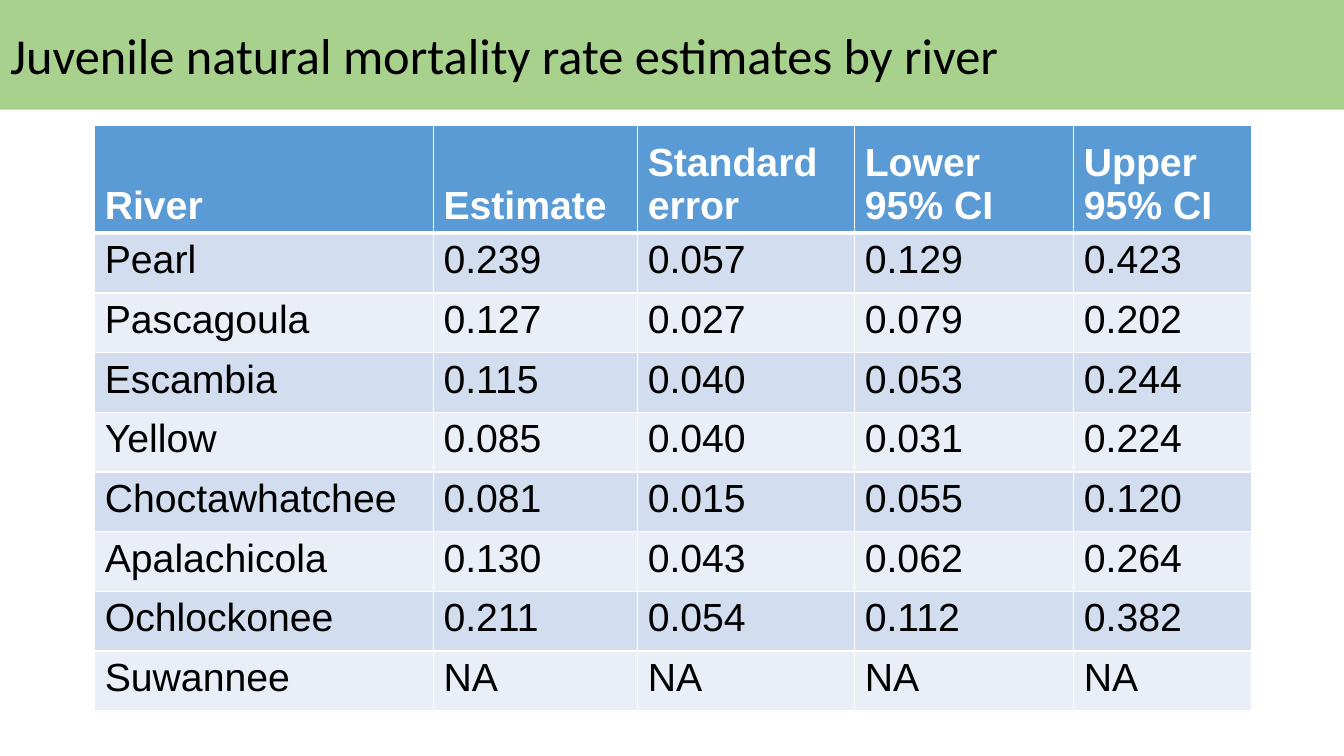
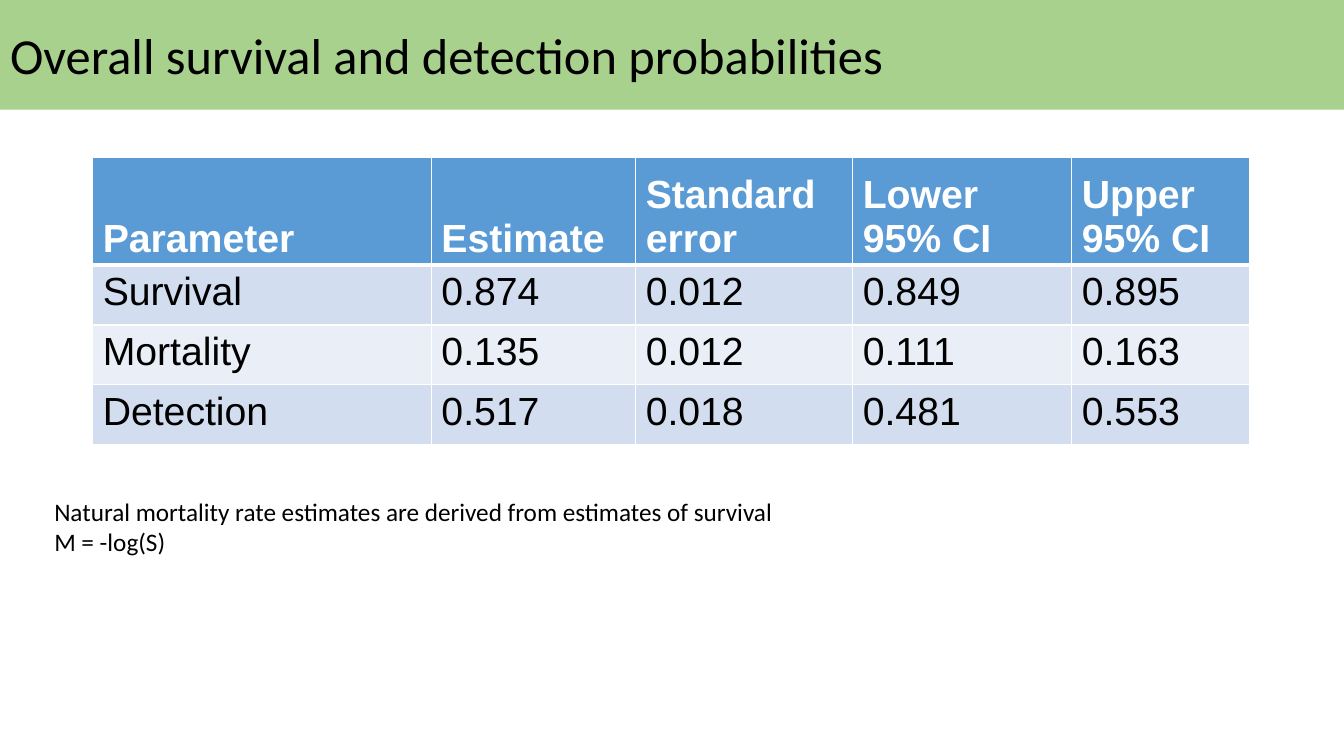
from lxml.etree import SubElement
from pptx import Presentation
from pptx.dml.color import RGBColor
from pptx.enum.text import MSO_ANCHOR, MSO_AUTO_SIZE, PP_ALIGN
from pptx.oxml.ns import qn
from pptx.util import Inches, Pt

deck = Presentation()
deck.slide_width, deck.slide_height = Inches(13.33), Inches(7.5)

# Grid: 100 columns by 100 rows
COLUMN, ROW = deck.slide_width / 100, deck.slide_height / 100

# Shared look
BAND, HEADER, STRIPES = "A9D18E", "5B9BD5", ("D2DEEF", "EAEFF7")
WHITE, BLACK = "FFFFFF", "000000"
TITLE_FONT = {"name": "Calibri", "size": Pt(36), "bold": False}
NOTE_FONT = {"name": "Calibri", "size": Pt(18)}
HEADER_FONT = {"name": "Arial", "size": Pt(28), "bold": True}
BODY_FONT = HEADER_FONT | {"bold": False}
BAND_FRAME = {"vertical_anchor": MSO_ANCHOR.MIDDLE, "word_wrap": True,
              "auto_size": MSO_AUTO_SIZE.NONE}
RIVER_COLUMNS = (25.2, 15.2, 16.15, 16.3, 13.25)
HEADER_ROW, BODY_ROW = 14.3, 7.9
STATISTICS = ("Estimate", "Standard error", "Lower 95% CI", "Upper 95% CI")

# Slide contents
tables = [
    {
        "title": "Juvenile natural mortality rate estimates by river",
        "corner": (7.05, 16.55),
        "rows": [
            ("River", *STATISTICS),
            ("Pearl", "0.239", "0.057", "0.129", "0.423"),
            ("Pascagoula", "0.127", "0.027", "0.079", "0.202"),
            ("Escambia", "0.115", "0.040", "0.053", "0.244"),
            ("Yellow", "0.085", "0.040", "0.031", "0.224"),
            ("Choctawhatchee", "0.081", "0.015", "0.055", "0.120"),
            ("Apalachicola", "0.130", "0.043", "0.062", "0.264"),
            ("Ochlockonee", "0.211", "0.054", "0.112", "0.382"),
            ("Suwannee", "NA", "NA", "NA", "NA"),
        ],
        "notes": [],
    },
    {
        "title": "Overall survival and detection probabilities",
        "corner": (6.9, 20.8),
        "rows": [
            ("Parameter", *STATISTICS),
            ("Survival", "0.874", "0.012", "0.849", "0.895"),
            ("Mortality", "0.135", "0.012", "0.111", "0.163"),
            ("Detection", "0.517", "0.018", "0.481", "0.553"),
        ],
        "notes": [
            "Natural mortality rate estimates are derived from estimates of survival",
            "M = -log(S)",
        ],
    },
]


def paint(colour_format, hex_colour):
    """Set a fill or font colour from a hex string."""
    if hasattr(colour_format, "solid"):
        colour_format.solid()
        colour_format = colour_format.fore_color
    colour_format.rgb = RGBColor.from_string(hex_colour)


def apply(target, values):
    for attribute, value in values.items():
        setattr(target, attribute, value)


for content in tables:
    slide = deck.slides.add_slide(deck.slide_layouts[5])

    # Title band
    title = slide.shapes.title
    apply(title, {"left": 0, "top": 0, "width": deck.slide_width,
                  "height": round(14.5 * ROW), "text": content["title"]})
    paint(title.fill, BAND)
    apply(title.text_frame, BAND_FRAME)
    heading = title.text_frame.paragraphs[0]
    heading.alignment = PP_ALIGN.LEFT
    apply(heading.runs[0].font, TITLE_FONT)
    paint(heading.runs[0].font.color, BLACK)

    # Estimates table
    rows = content["rows"]
    left, top = content["corner"]
    heights = [HEADER_ROW] + [BODY_ROW] * (len(rows) - 1)
    estimates = slide.shapes.add_table(
        len(rows), len(RIVER_COLUMNS), round(left * COLUMN), round(top * ROW),
        round(sum(RIVER_COLUMNS) * COLUMN), round(sum(heights) * ROW)).table
    for column, width in zip(estimates.columns, RIVER_COLUMNS):
        column.width = round(width * COLUMN)

    for r, (values, height) in enumerate(zip(rows, heights)):
        estimates.rows[r].height = round(height * ROW)
        is_header = r == 0
        for c, value in enumerate(values):
            cell = estimates.cell(r, c)
            cell.text = value
            cell.vertical_anchor = MSO_ANCHOR.BOTTOM if is_header else MSO_ANCHOR.TOP
            font = cell.text_frame.paragraphs[0].runs[0].font
            apply(font, HEADER_FONT if is_header else BODY_FONT)
            paint(font.color, WHITE if is_header else BLACK)

            # White cell borders, thicker under the header; they precede the fill
            properties = cell._tc.get_or_add_tcPr()
            thick_side = {0: "lnB", 1: "lnT"}.get(r)
            for side in ("lnL", "lnR", "lnT", "lnB"):
                weight = Pt(3 if side == thick_side else 1)
                border = SubElement(properties, qn(f"a:{side}"), w=str(weight))
                line_fill = SubElement(border, qn("a:solidFill"))
                SubElement(line_fill, qn("a:srgbClr"), val=WHITE)
            paint(cell.fill, HEADER if is_header else STRIPES[(r - 1) % 2])

    # Notes under the table
    if content["notes"]:
        note = slide.shapes.add_textbox(round(3.3 * COLUMN), round(65 * ROW),
                                        round(95.5 * COLUMN), round(9.5 * ROW))
        note.text_frame.word_wrap = True
        note.text_frame.text = "\n".join(content["notes"])
        for paragraph in note.text_frame.paragraphs:
            apply(paragraph.runs[0].font, NOTE_FONT)
            paint(paragraph.runs[0].font.color, BLACK)

deck.save("out.pptx")
